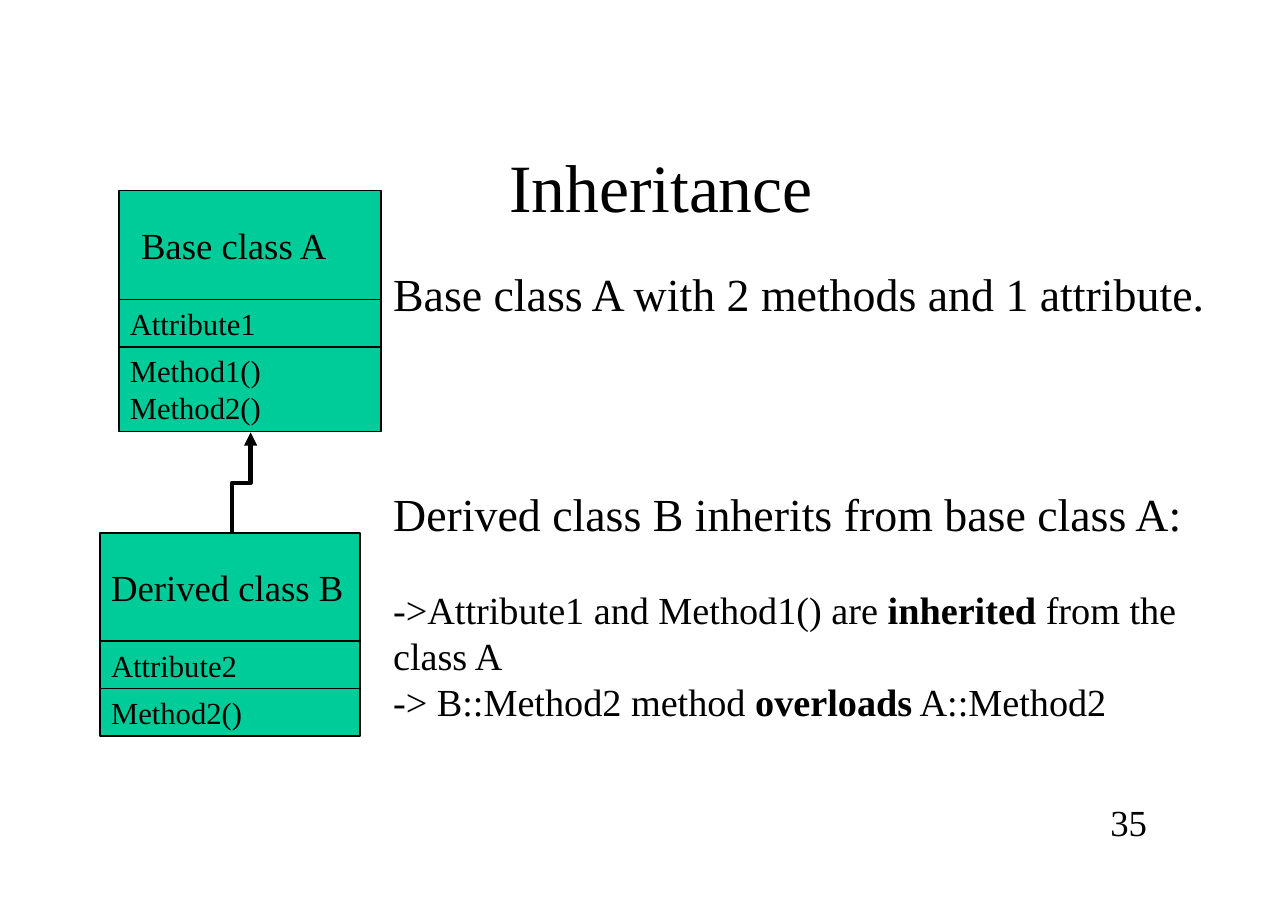
"""Build a slide on inheritance with two class diagrams and an explanation."""
from lxml import etree
from pptx import Presentation
from pptx.dml.color import RGBColor
from pptx.enum.shapes import MSO_CONNECTOR, MSO_SHAPE
from pptx.enum.text import MSO_ANCHOR, PP_ALIGN
from pptx.oxml.ns import qn
from pptx.util import Inches, Pt

RECTANGLE = MSO_SHAPE.RECTANGLE
ELBOW = MSO_CONNECTOR.ELBOW
TOP, MIDDLE = MSO_ANCHOR.TOP, MSO_ANCHOR.MIDDLE
LEFT, CENTER, RIGHT = PP_ALIGN.LEFT, PP_ALIGN.CENTER, PP_ALIGN.RIGHT
BLACK, GREEN = "000000", "00CC99"
FONT = "Times New Roman"
LINE_HEIGHT = 1.2


def color(value):
    return RGBColor.from_string(value)


def write(shape, paragraphs, anchor=TOP, alignment=LEFT, indent=0.1):
    """Fill a shape with (size, space before, runs); every second run is bold."""
    frame = shape.text_frame
    frame_format = {
        "word_wrap": True, "vertical_anchor": anchor,
        "margin_left": Inches(indent), "margin_right": Inches(0.1),
        "margin_top": Inches(0.05), "margin_bottom": Inches(0.05),
    }
    for name, value in frame_format.items():
        setattr(frame, name, value)
    for index, (size, space, runs) in enumerate(paragraphs):
        paragraph = frame.paragraphs[0] if index == 0 else frame.add_paragraph()
        paragraph_format = {
            "alignment": alignment, "space_before": Pt(space),
            "line_spacing": Pt(size * LINE_HEIGHT),
        }
        for name, value in paragraph_format.items():
            setattr(paragraph, name, value)
        for position, text in enumerate(runs):
            run = paragraph.add_run()
            run.text = text
            run_format = {"name": FONT, "size": Pt(size), "bold": position % 2 == 1}
            for name, value in run_format.items():
                setattr(run.font, name, value)
            run.font.color.rgb = color(BLACK)


presentation = Presentation()
presentation.slide_width = Inches(11.69)
presentation.slide_height = Inches(8.27)
slide = presentation.slides.add_slide(presentation.slide_layouts[6])

classes = [
    (1.08, 1.73, 2.38, 0.2, [
        (0.99, 24, ["Base class A"]),
        (0.43, 20, ["Attribute1"]),
        (0.77, 20, ["Method1()", "Method2()"]),
    ]),
    (0.91, 4.84, 2.36, 0.1, [
        (0.98, 24, ["Derived class B"]),
        (0.43, 20, ["Attribute2"]),
        (0.43, 20, ["Method2()"]),
    ]),
]
for left, top, width, name_indent, compartments in classes:
    for index, (height, size, lines) in enumerate(compartments):
        compartment = slide.shapes.add_shape(
            RECTANGLE, Inches(left), Inches(top), Inches(width), Inches(height))
        compartment.shadow.inherit = False
        compartment.fill.solid()
        compartment.fill.fore_color.rgb = color(GREEN)
        compartment.line.color.rgb = color(BLACK)
        compartment.line.width = Pt(1)
        write(compartment, [(size, 0, [line]) for line in lines],
              anchor=MIDDLE if index == 0 else TOP,
              indent=name_indent if index == 0 else 0.1)
        top += height

inheritance_arrow = slide.shapes.add_connector(
    ELBOW, Inches(2.65), Inches(4.47), Inches(1.73), Inches(4.3))
inheritance_arrow.line.color.rgb = color(BLACK)
inheritance_arrow.line.width = Pt(2.89)
properties = inheritance_arrow._element.spPr
properties.find(qn("a:xfrm")).set("rot", str(90 * 60000))
etree.SubElement(properties.find(qn("a:ln")), qn("a:tailEnd"), type="triangle")
etree.SubElement(properties, qn("a:effectLst"))

explanation = [
    (30, 0, ["Base class A with 2 methods and 1 attribute."]),
    (30, 3 * 30 * LINE_HEIGHT, ["Derived class B inherits from base class A:"]),
    (25, 25 * LINE_HEIGHT,
     ["->Attribute1 and Method1() are ", "inherited ", "from the class A"]),
    (25, 0, ["-> B::Method2 method ", "overloads", " A::Method2"]),
]
texts = [
    (1.5, 1.06, 9, 1.25, [(44.2, 0, ["Inheritance"])], MIDDLE, CENTER),
    (3.47, 2.36, 7.84, 4.95, explanation, TOP, LEFT),
    (9.68, 7.21, 0.83, 0.5, [(24, 0, ["35"])], MIDDLE, RIGHT),
]
for left, top, width, height, paragraphs, anchor, alignment in texts:
    text_box = slide.shapes.add_textbox(
        Inches(left), Inches(top), Inches(width), Inches(height))
    write(text_box, paragraphs, anchor, alignment)

presentation.save("out.pptx")
